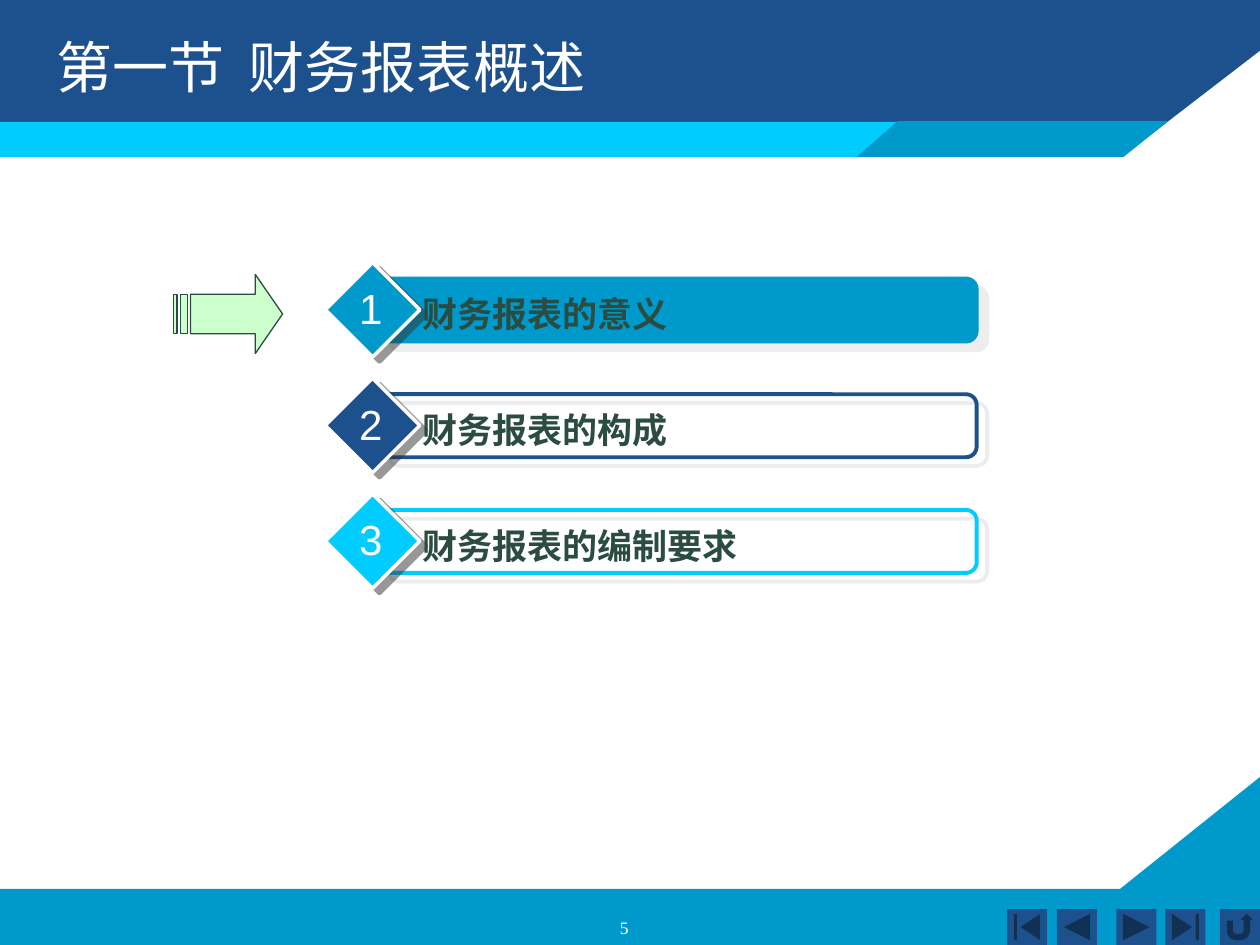
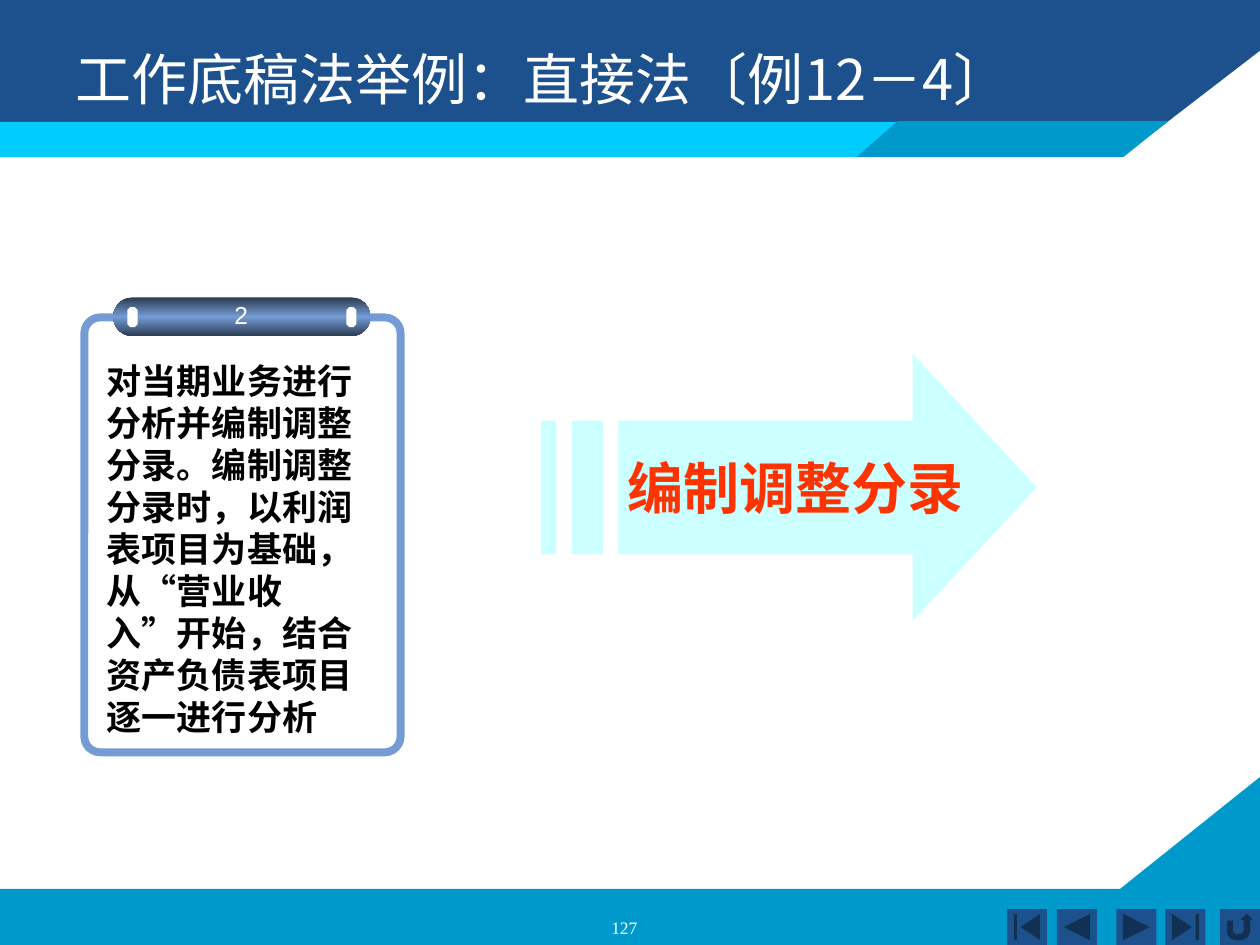
from dataclasses import dataclass

import pptx
import pptx.dml.color
import pptx.enum.dml
import pptx.enum.shapes
import pptx.enum.text
import pptx.oxml
import pptx.oxml.ns
import pptx.util
from lxml import etree

Pt = pptx.util.Pt
Preset = pptx.enum.shapes.MSO_SHAPE
Align = pptx.enum.text.PP_ALIGN
qn = pptx.oxml.ns.qn


@dataclass(frozen=True)
class Theme:
    navy: str = "1D518D"
    blue: str = "0099CB"
    cyan: str = "00CCFF"
    white: str = "FFFFFF"
    black: str = "000000"
    ink: str = "2A4C41"
    red: str = "FF3300"
    mint: str = "CCFFCC"
    ice: str = "CCFFFF"
    steel: str = "749BD4"
    steel_dark: str = "2C3B51"
    bar_shadow: str = "DDDDDD"
    diamond_shadow: str = "333333"
    latin: str = "Arial"
    chinese: str = "Noto Sans CJK SC"
    serif: str = "Times New Roman"
    title_size: int = 32
    number_size: int = 24
    body_size: int = 20
    tube_size: int = 14
    footer_size: int = 10


THEME = Theme()


def rgb(colour):
    return pptx.dml.color.RGBColor.from_string(colour)


def paint(shape, fill=None, line=None, line_width=1):
    """Give a shape a flat fill and outline; None leaves either one out."""
    shape.shadow.inherit = False
    if fill:
        shape.fill.solid()
        shape.fill.fore_color.rgb = rgb(fill)
    else:
        shape.fill.background()
    if line:
        shape.line.color.rgb = rgb(line)
        shape.line.width = Pt(line_width)
    else:
        shape.line.fill.background()
    return shape


def add_preset(page, preset, box, **style):
    shape = page.shapes.add_shape(preset, *map(Pt, box))
    return paint(shape, **style)


def add_outline(page, contours, **style):
    """Draw closed contours, each a list of points, as one freeform."""
    first, *others = [[(Pt(x), Pt(y)) for x, y in contour] for contour in contours]
    builder = page.shapes.build_freeform(*first[0], scale=1.0)
    builder.add_line_segments(first[1:], close=True)
    for contour in others:
        builder.move_to(*contour[0])
        builder.add_line_segments(contour[1:], close=True)
    return paint(builder.convert_to_shape(), **style)


def cast_shadow(shape, colour, distance, angle):
    effects = shape._element.spPr.find(qn("a:effectLst"))
    shadow = etree.SubElement(effects, qn("a:outerShdw"), dist=str(Pt(distance)),
                              dir=str(angle * 60000), algn="ctr", rotWithShape="0")
    tint = etree.SubElement(shadow, qn("a:srgbClr"), val=colour)
    etree.SubElement(tint, qn("a:alpha"), val="50000")


def shade_across(shape, edge, middle):
    """Fill top to bottom with a gradient that is mirrored about its middle."""
    shape.fill.gradient()
    shape.fill.gradient_angle = 90
    stops = shape._element.spPr.find(qn("a:gradFill")).find(qn("a:gsLst"))
    for stop in list(stops):
        stops.remove(stop)
    for position, colour in ((0, edge), (50000, middle), (100000, edge)):
        stop = etree.SubElement(stops, qn("a:gs"), pos=str(position))
        etree.SubElement(stop, qn("a:srgbClr"), val=colour)


def write(shape, text, size, colour, font=THEME.latin, bold=False, align=Align.LEFT, wrap=True):
    frame = shape.text_frame
    frame.text = text
    frame.word_wrap = wrap
    para = frame.paragraphs[0]
    para.alignment = align
    for span in para.runs:
        span.font.size = Pt(size)
        span.font.bold = bold
        span.font.color.rgb = rgb(colour)
        span.font.name = font
        east_asian = etree.SubElement(span.font._element, qn("a:ea"))
        east_asian.set("typeface", THEME.chinese)
    return para


def add_text(page, box, text, size, colour, **style):
    return write(page.shapes.add_textbox(*map(Pt, box)), text, size, colour, **style)


def add_bands(page):
    add_outline(page, [[(0, 508), (640, 508), (720, 444), (720, 540), (0, 540)]],
                fill=THEME.blue)
    add_outline(page, [[(0, 0), (720, 0), (720, 29), (642, 89), (0, 89)]], fill=THEME.navy)
    add_preset(page, Preset.RECTANGLE, (0, 69.7, 608, 20), fill=THEME.cyan)
    add_outline(page, [[(489.5, 89.7), (642, 89.7), (667.5, 69.3), (513, 69.3)]],
                fill=THEME.blue)


def add_navigation(page):
    buttons = (
        (575.5, Preset.ACTION_BUTTON_BEGINNING),
        (604, Preset.ACTION_BUTTON_BACK_OR_PREVIOUS),
        (638, Preset.ACTION_BUTTON_FORWARD_OR_NEXT),
        (666, Preset.ACTION_BUTTON_END),
        (697.2, Preset.ACTION_BUTTON_RETURN),
    )
    for left, preset in buttons:
        add_preset(page, preset, (left, 519.6, 22.8, 20.4), fill=THEME.navy)


def add_page(deck, title, title_corner, number):
    page = deck.slides.add_slide(deck.slide_layouts[6])
    add_bands(page)
    add_navigation(page)
    para = add_text(page, (*title_corner, 648, 90), title, THEME.title_size, THEME.white,
                    font=THEME.chinese)
    tabs = etree.Element(qn("a:tabLst"))
    etree.SubElement(tabs, qn("a:tab"), pos=str(Pt(110)), algn="l")
    para._p.get_or_add_pPr().append(tabs)
    add_text(page, (272.9, 520.6, 167.8, 13), str(number), THEME.footer_size, THEME.white,
             font=THEME.serif, align=Align.CENTER)
    return page


def add_striped_arrow(page, box, head, **style):
    """Draw an arrow with two tail stripes; stripes follow 1/32 of the width."""
    left, top, width, height = box
    right, middle, bottom = left + width, top + height / 2, top + height
    upper, lower = top + height / 4, bottom - height / 4
    unit, neck = width / 32, right - head

    def stripe(start, end):
        start, end = left + start * unit, left + end * unit
        return [(start, upper), (end, upper), (end, lower), (start, lower)]

    tail = left + 5 * unit
    arrow = [(tail, upper), (neck, upper), (neck, top), (right, middle),
             (neck, bottom), (neck, lower), (tail, lower)]
    return add_outline(page, [arrow, stripe(0, 1), stripe(2, 4)], **style)


def add_agenda_row(page, left, top, number, text, colour, active):
    bar = add_preset(page, Preset.ROUNDED_RECTANGLE, (left + 30.2, top + 9.2, 342, 36),
                     fill=colour if active else None, line=colour, line_width=2.25)
    bar.adjustments[0] = 0.17
    cast_shadow(bar, THEME.bar_shadow, 7.8, 40)
    diamond = add_preset(page, Preset.DIAMOND, (left, top, 54, 54),
                         fill=colour, line=THEME.white, line_width=2)
    cast_shadow(diamond, THEME.diamond_shadow, 5, 37)
    add_text(page, (left + 48.2, top + 13.7, 270, 31.7), text, THEME.body_size, THEME.ink,
             bold=True)
    add_text(page, (left + 12.2, top + 7.9, 27.4, 36), str(number), THEME.number_size,
             THEME.white, align=Align.CENTER, wrap=False)


def add_clipboard(page, box, number, text):
    left, top, width, height = box
    frame = add_preset(page, Preset.ROUNDED_RECTANGLE, (left, top + 11.5, width, height - 11.5),
                       line=THEME.steel, line_width=4.5)
    frame.adjustments[0] = 0.05
    tube_left, tube_width = left + 16.6, 146.9
    tube = add_preset(page, Preset.ROUNDED_RECTANGLE, (tube_left, top, tube_width, 22.3))
    tube.adjustments[0] = 0.5
    shade_across(tube, THEME.steel_dark, THEME.steel)
    for hole_left in (tube_left + 8, tube_left + tube_width - 13.8):
        hole = add_preset(page, Preset.OCTAGON, (hole_left, top + 5.6, 5.8, 11.5),
                          fill=THEME.white)
        hole.adjustments[0] = 0.29
    add_text(page, (left + 78.5, top - 2.2, 22.3, 24.5), str(number), THEME.tube_size,
             THEME.white, align=Align.CENTER, wrap=False)
    add_text(page, (left + 5.8, top + 31.7, 167.8, 223.2), text, THEME.body_size, THEME.black,
             bold=True)


def add_agenda_page(deck):
    page = add_page(deck, "第一节\t财务报表概述", (25.2, 15.1), 5)
    rows = (
        ("财务报表的意义", THEME.blue),
        ("财务报表的构成", THEME.navy),
        ("财务报表的编制要求", THEME.cyan),
    )
    for index, (text, colour) in enumerate(rows):
        add_agenda_row(page, 185.9, 150 + 66.1 * index, index + 1, text, colour, index == 0)
    add_striped_arrow(page, (99.2, 156.8, 62.3, 45.2), 15.6,
                      fill=THEME.mint, line=THEME.ink, line_width=0.75)


def add_example_page(deck):
    page = add_page(deck, "工作底稿法举例：直接法〔例12－4〕", (36, 21.6), 127)
    add_clipboard(page, (48.2, 169.9, 180.7, 260), 2,
                  "对当期业务进行分析并编制调整分录。编制调整分录时，以利润表项目为基础，"
                  "从“营业收入”开始，结合资产负债表项目逐一进行分析")
    arrow = add_striped_arrow(page, (309.1, 202.2, 283.4, 152.6), 71, fill=THEME.ice)
    write(arrow, "编制调整分录", THEME.title_size, THEME.red, bold=True,
          align=Align.CENTER, wrap=False)
    arrow.text_frame.margin_left = Pt(14.4)
    arrow.text_frame.vertical_anchor = pptx.enum.text.MSO_ANCHOR.MIDDLE


def main():
    deck = pptx.Presentation()
    deck.slide_width, deck.slide_height = Pt(720), Pt(540)
    add_agenda_page(deck)
    add_example_page(deck)
    deck.save("out.pptx")


if __name__ == "__main__":
    main()
